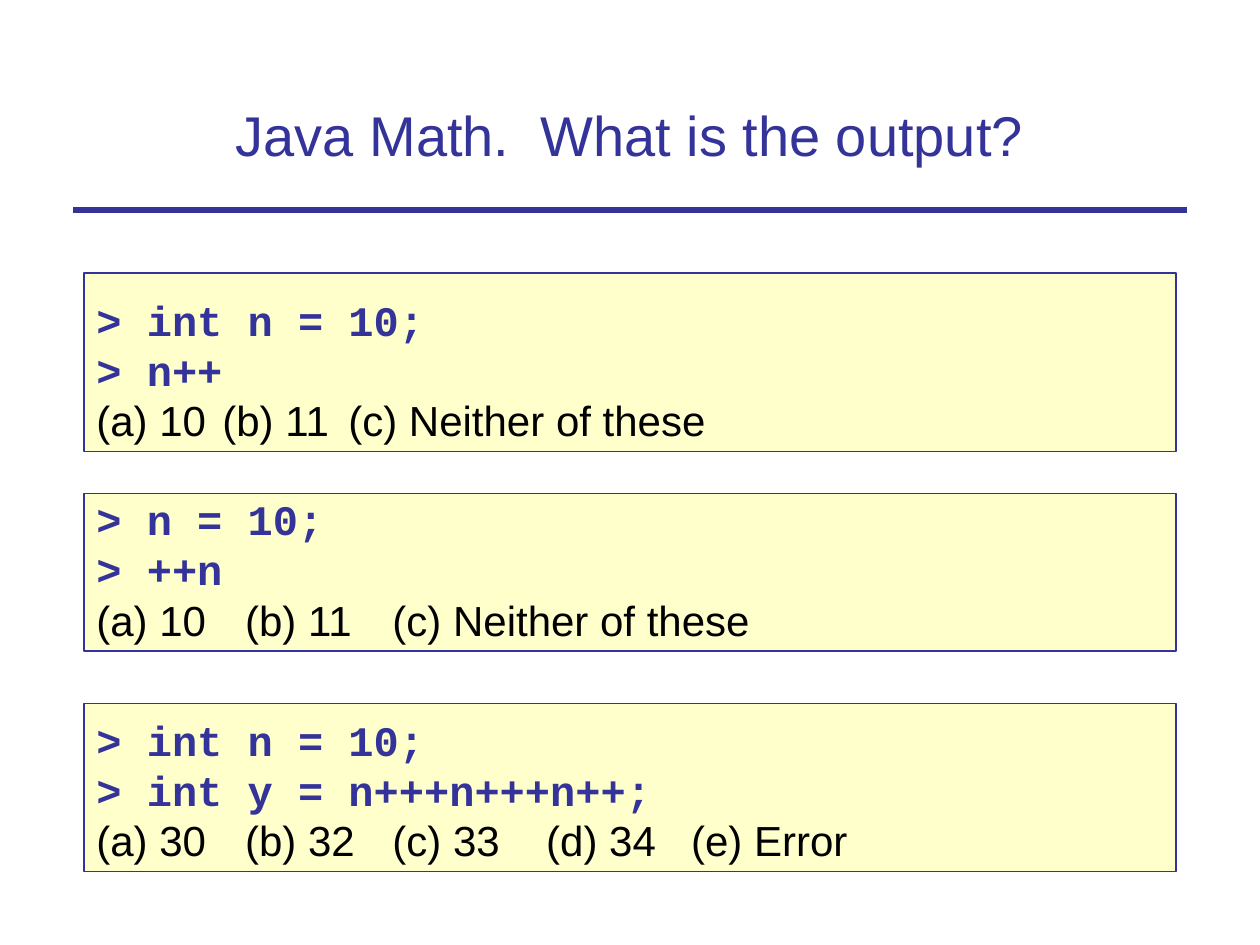
from lxml import etree
from pptx import Presentation
from pptx.dml.color import RGBColor
from pptx.enum.shapes import MSO_CONNECTOR, MSO_SHAPE
from pptx.enum.text import MSO_ANCHOR, MSO_AUTO_SIZE, PP_ALIGN
from pptx.oxml.ns import qn
from pptx.util import Inches, Pt

STRAIGHT = MSO_CONNECTOR.STRAIGHT
RECTANGLE = MSO_SHAPE.RECTANGLE
TOP, BOTTOM = MSO_ANCHOR.TOP, MSO_ANCHOR.BOTTOM
LEFT, CENTER = PP_ALIGN.LEFT, PP_ALIGN.CENTER
NO_AUTOFIT = MSO_AUTO_SIZE.NONE

COLORS = {"navy": "333399", "cream": "FFFFCC", "black": "000000"}
TITLE = {"name": "Arial", "size": Pt(32), "bold": False, "color": "navy"}
CODE = {"name": "Courier New", "size": Pt(24), "bold": True, "color": "navy"}
ANSWER = {"name": "Arial", "size": Pt(24), "bold": False, "color": "black"}


def add_span(para, text, style):
    span = para.add_run()
    span.text = text
    for key, value in style.items():
        if key == "color":
            span.font.color.rgb = RGBColor.from_string(COLORS[value])
        else:
            setattr(span.font, key, value)


deck = Presentation()
deck.slide_width, deck.slide_height = Inches(10), Inches(7.5)
page = deck.slides.add_slide(deck.slide_layouts[5])
width, height = deck.slide_width, deck.slide_height

rule_margin = int(width * 0.058)
rule_top = int(height * 2 / 9)
rule = page.shapes.add_connector(
    STRAIGHT, rule_margin, rule_top, width - rule_margin, rule_top)
rule.line.color.rgb = RGBColor.from_string(COLORS["navy"])
rule.line.width = Pt(3)
etree.SubElement(rule.element.spPr, qn("a:effectLst"))

title = page.shapes.title
title_margin = int(width * 0.071)
title.left, title.top = title_margin, int(height * 0.1)
title.width, title.height = width - 2 * title_margin, Inches(0.64)
title_format = {"word_wrap": True, "auto_size": NO_AUTOFIT, "vertical_anchor": TOP}
for key, value in title_format.items():
    setattr(title.text_frame, key, value)
title_para = title.text_frame.paragraphs[0]
title_para.alignment = CENTER
add_span(title_para, "Java Math.  What is the output?", TITLE)

row = height / 90
box_margin = int(width / 15)
box_format = {"word_wrap": True, "vertical_anchor": BOTTOM}
questions = [
    (26, 17, ["> int n = 10;", "> n++"],
     ["(a) 10", "(b) 11", "(c) Neither of these"], [1, 2]),
    (47, 15, ["> n = 10;", "> ++n"],
     ["(a) 10", "(b) 11", "(c) Neither of these"], [1.18, 2.35]),
    (67, 16, ["> int n = 10;", "> int y = n+++n+++n++;"],
     ["(a) 30", "(b) 32", "(c) 33", "(d) 34", "(e) Error"],
     [1.18, 2.35, 3.57, 4.72]),
]

for first_row, rows, code, answers, stops in questions:
    box = page.shapes.add_shape(
        RECTANGLE, box_margin, int(first_row * row),
        width - 2 * box_margin, int(rows * row))
    box.shadow.inherit = False
    box.fill.solid()
    box.fill.fore_color.rgb = RGBColor.from_string(COLORS["cream"])
    box.line.color.rgb = RGBColor.from_string(COLORS["navy"])
    box.line.width = Pt(0.75)
    for key, value in box_format.items():
        setattr(box.text_frame, key, value)
    para = box.text_frame.paragraphs[0]
    para.alignment = LEFT
    tabs = etree.SubElement(para._p.get_or_add_pPr(), qn("a:tabLst"))
    for stop in stops:
        etree.SubElement(tabs, qn("a:tab"), pos=str(Inches(stop)), algn="l")
    for line in code:
        add_span(para, line, CODE)
        para.add_line_break()
    add_span(para, "\t".join(answers), ANSWER)

deck.save("out.pptx")
